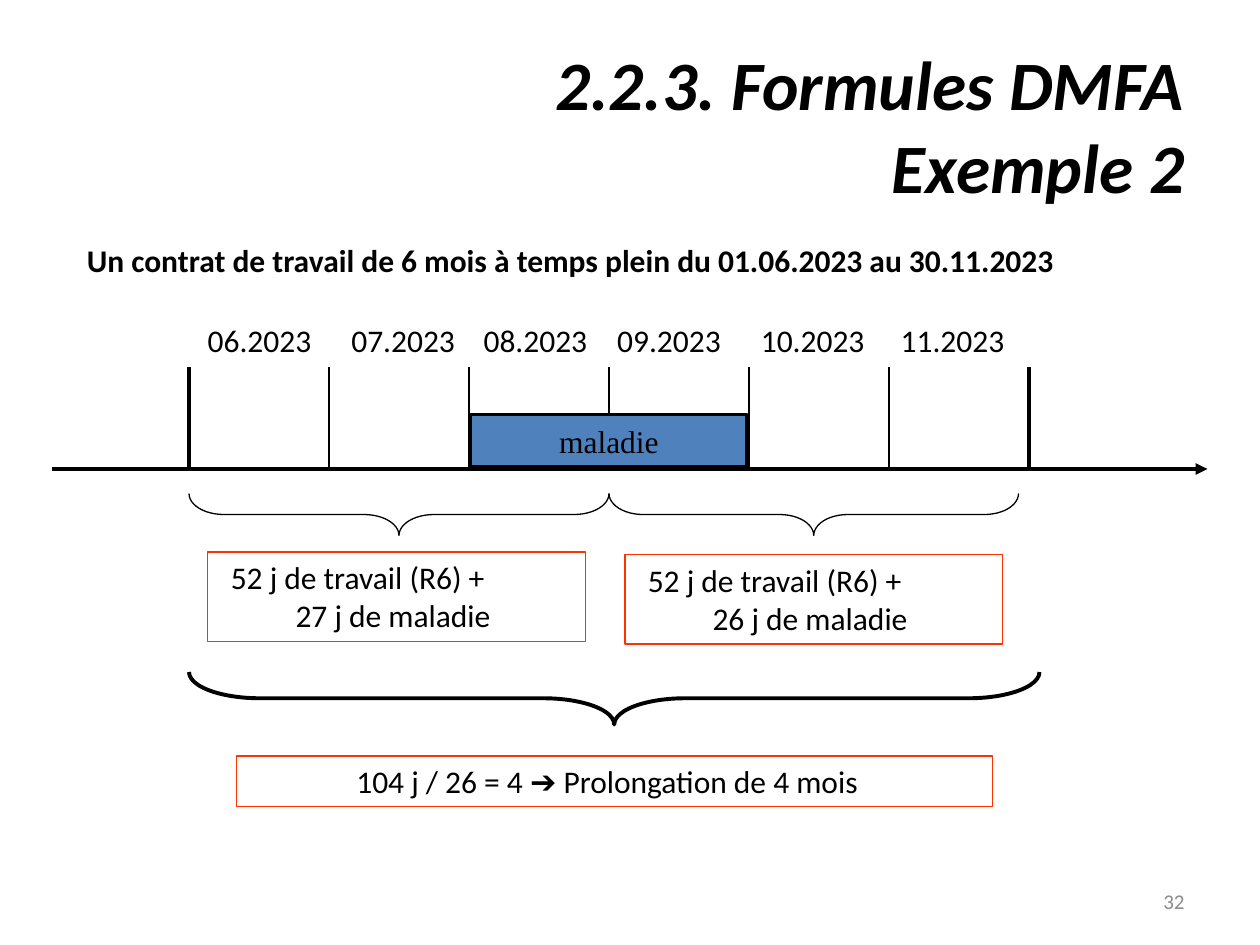
from lxml.etree import SubElement
from pptx import Presentation
from pptx.dml.color import RGBColor
from pptx.enum.shapes import MSO_CONNECTOR, MSO_SHAPE
from pptx.enum.text import MSO_ANCHOR, MSO_AUTO_SIZE, PP_ALIGN
from pptx.oxml import parse_xml
from pptx.oxml.ns import nsdecls, qn
from pptx.util import Pt

COLORS = {"ink": "000000", "box": "FF3300", "sick": "4F81BD", "number": "8C8C8C"}
TITLE = "2.2.3. Formules DMFA\vExemple 2"
CONTRACT = "Un contrat de travail de 6 mois à temps plein du 01.06.2023 au 30.11.2023"
MONTHS = [
    ("06.2023", 111.6), ("07.2023", 193.7), ("08.2023", 269.3),
    ("09.2023", 345.6), ("10.2023", 427.7), ("11.2023", 507.6),
]
PERIODS = [
    ("52 j de travail (R6) +\v27 j de maladie", 118.8, 315.4),
    ("52 j de travail (R6) +\v26 j de maladie", 357.1, 317),
]
RESULT = "104 j / 26 = 4 ➔ Prolongation de 4 mois"
BRACES = [
    (108, 282, 240, 24, 0.83, 0.75),
    (348, 282, 234, 24, 0.81, 0.75),
    (108, 384, 486, 30, 1.35, 2.25),
]
AXIS_Y, GRID_LEFT, GRID_TOP, MONTH_W = 268, 108, 210, 80


def rgb(name):
    return RGBColor.from_string(COLORS[name])


def write(shape, text, size=18, color="ink", font="Calibri", align=PP_ALIGN.LEFT,
          bold=None, italic=None, wrap=True, anchor=MSO_ANCHOR.TOP, grow=False):
    tf = shape.text_frame
    tf.word_wrap = wrap
    tf.vertical_anchor = anchor
    tf.auto_size = MSO_AUTO_SIZE.SHAPE_TO_FIT_TEXT if grow else MSO_AUTO_SIZE.NONE
    p = tf.paragraphs[0]
    p.text = text
    p.alignment = align
    p.font.size, p.font.name = Pt(size), font
    p.font.bold, p.font.italic = bold, italic
    p.font.color.rgb = rgb(color)
    return p


def add_text(s, box, text, **style):
    return write(s.shapes.add_textbox(*map(Pt, box)), text, **style)


def add_shape(s, kind, box, line, width, fill=None):
    sp = s.shapes.add_shape(kind, *map(Pt, box))
    sp.shadow.inherit = False
    sp.line.color.rgb = rgb(line)
    sp.line.width = Pt(width)
    if fill:
        sp.fill.solid()
        sp.fill.fore_color.rgb = rgb(fill)
    else:
        sp.fill.background()
    return sp


def add_brace(s, left, top, span, depth, curve, width):
    box = (left + (span - depth) / 2, top - (span - depth) / 2, depth, span)
    sp = add_shape(s, MSO_SHAPE.LEFT_BRACE, box, "ink", width)
    sp.rotation = 270
    sp.adjustments[0] = curve


def set_borders(cell, **widths):
    tcPr = cell._tc.get_or_add_tcPr()
    for i, side in enumerate("LRTB"):
        width = widths.get(side, 0)
        fill = (f'<a:solidFill><a:srgbClr val="{COLORS["ink"]}"/></a:solidFill>'
                if width else "<a:noFill/>")
        tcPr.insert(i, parse_xml(
            f'<a:ln{side} {nsdecls("a")} w="{Pt(width)}">{fill}</a:ln{side}>'))


def add_timeline(s):
    n = len(MONTHS)
    table = s.shapes.add_table(1, n, Pt(GRID_LEFT), Pt(GRID_TOP),
                               Pt(n * MONTH_W), Pt(AXIS_Y - GRID_TOP)).table
    table.first_row = table.horz_banding = False
    for i, cell in enumerate(table.rows[0].cells):
        cell.fill.background()
        set_borders(cell, L=1 if i else 2.25, R=1 if i < n - 1 else 2.25, B=2.25)

    axis = s.shapes.add_connector(MSO_CONNECTOR.STRAIGHT, Pt(30), Pt(AXIS_Y),
                                  Pt(690), Pt(AXIS_Y))
    axis.line.color.rgb = rgb("ink")
    axis.line.width = Pt(2.25)
    SubElement(axis.line._get_or_add_ln(), qn("a:tailEnd"), type="triangle")
    SubElement(axis._element.spPr, qn("a:effectLst"))

    for month, left in MONTHS:
        add_text(s, (left, 180, 74.2, 29), month, wrap=False, grow=True)


def main():
    prs = Presentation()
    prs.slide_width, prs.slide_height = Pt(720), Pt(540)
    s = prs.slides.add_slide(prs.slide_layouts[5])

    title = s.shapes.title
    title.left, title.top, title.width, title.height = map(Pt, (36, 26, 648, 90))
    write(title, TITLE, size=39.6, align=PP_ALIGN.RIGHT, bold=True, italic=True,
          anchor=MSO_ANCHOR.MIDDLE)

    add_timeline(s)
    for brace in BRACES:
        add_brace(s, *brace)

    for text, left, top in PERIODS:
        sp = add_shape(s, MSO_SHAPE.RECTANGLE, (left, top, 216, 51), "box", 0.75)
        pPr = write(sp, text, grow=True)._p.get_or_add_pPr()
        pPr.set("marL", str(Pt(43)))
        pPr.set("indent", str(Pt(-37)))

    sp = add_shape(s, MSO_SHAPE.RECTANGLE, (135, 432, 432, 29), "box", 0.75)
    write(sp, RESULT, align=PP_ALIGN.CENTER, grow=True)
    sp.text_frame.margin_right = Pt(15)

    sick = add_shape(s, MSO_SHAPE.RECTANGLE, (269, 237, 158, 30), "ink", 2, "sick")
    write(sick, "maladie", font="Times New Roman", align=PP_ALIGN.CENTER,
          wrap=False, anchor=MSO_ANCHOR.MIDDLE)

    add_text(s, (516, 500.5, 168, 29), "32", size=12, color="number",
             align=PP_ALIGN.RIGHT, anchor=MSO_ANCHOR.MIDDLE)
    add_text(s, (42.5, 134, 572.4, 29), CONTRACT, bold=True, wrap=False, grow=True)
    prs.save("out.pptx")


if __name__ == "__main__":
    main()
